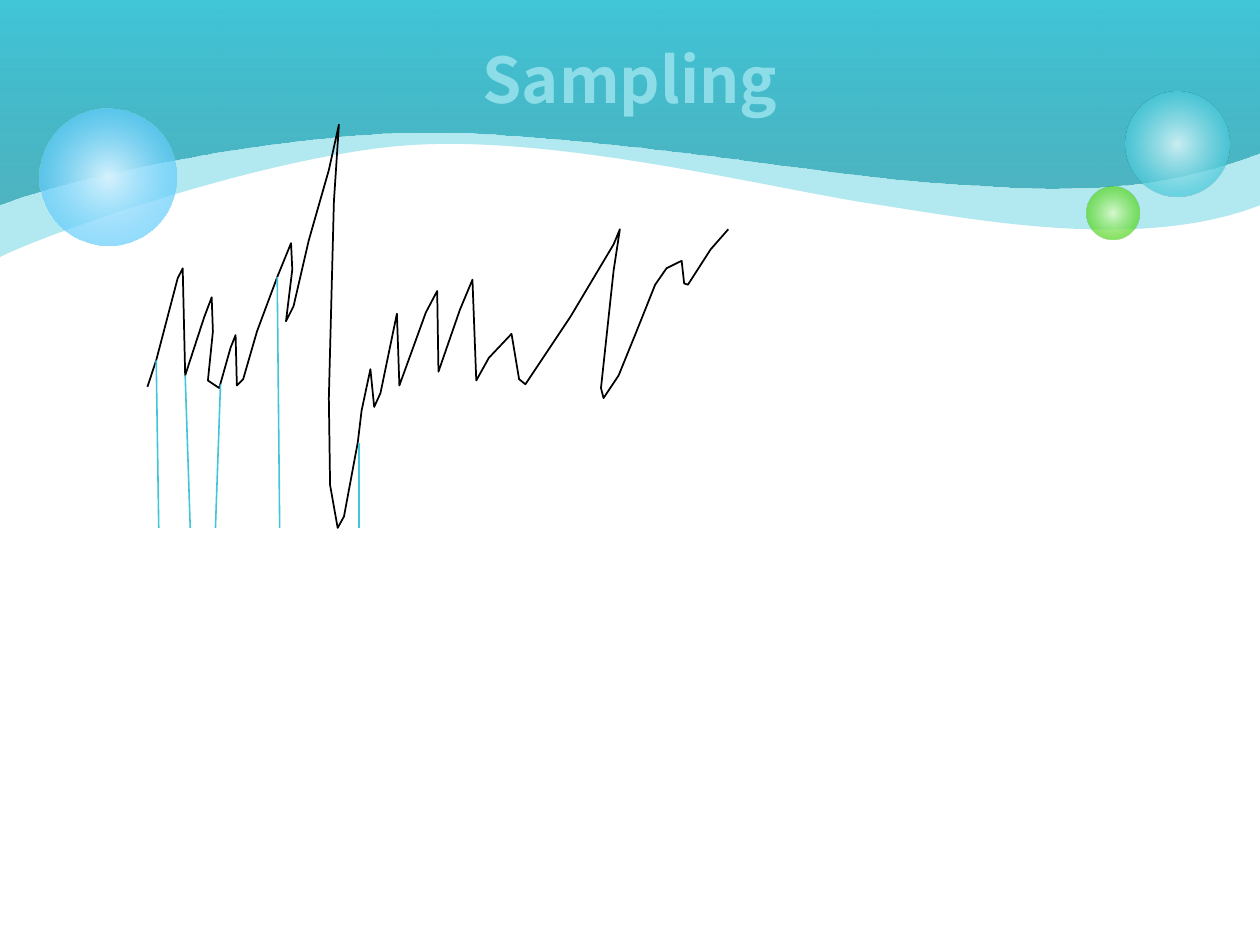
from dataclasses import dataclass

import lxml.etree
import pptx
import pptx.dml.color
import pptx.enum.shapes
import pptx.enum.text
import pptx.oxml.ns
import pptx.shapes.autoshape
import pptx.slide
import pptx.util

RGBColor = pptx.dml.color.RGBColor
Inches = pptx.util.Inches
Point = tuple[float, float]

BLACK = RGBColor(0x00, 0x00, 0x00)
TEAL = RGBColor(0x40, 0xC6, 0xD8)
DARK_TEAL = RGBColor(0x24, 0x9E, 0xAE)
PALE_TEAL = RGBColor(0xD9, 0xF4, 0xF7)
TITLE_TEAL = RGBColor(0x8C, 0xDD, 0xE8)
GREEN = RGBColor(0x4C, 0xD4, 0x16)
PALE_GREEN = RGBColor(0xDA, 0xFA, 0xCD)
BLUE = RGBColor(0x33, 0xBD, 0xFB)
PALE_BLUE = RGBColor(0xD6, 0xF2, 0xFE)
FONT = "Noto Sans CJK KR"
CURVE_STEPS = 24
BASELINE = 4.19


@dataclass(frozen=True)
class Stop:
    position: int
    color: RGBColor
    opacity: int = 100


@dataclass(frozen=True)
class Wave:
    start: Point
    curves: list[tuple[Point, Point, Point]]
    stops: list[Stop]


@dataclass(frozen=True)
class Bubble:
    left: float
    top: float
    diameter: float
    stops: list[Stop]


@dataclass(frozen=True)
class Sample:
    signal: Point
    base_x: float


WAVES = [
    Wave((0, 2.04), [
        ((0.33, 1.87), (2.14, 1.22), (3.28, 1.15)),
        ((4.43, 1.08), (6.06, 1.48), (6.87, 1.61)),
        ((7.68, 1.73), (9.02, 2.01), (10, 1.63)),
    ], [Stop(0, TEAL, 40), Stop(100, TEAL, 40)]),
    Wave((0, 1.62), [
        ((0.45, 1.44), (2.03, 1.08), (3.26, 1.05)),
        ((4.49, 1.02), (6.58, 1.39), (7.37, 1.44)),
        ((8.16, 1.49), (9.02, 1.59), (10, 1.21)),
    ], [Stop(0, DARK_TEAL, 69), Stop(100, TEAL)]),
]
BUBBLES = [
    Bubble(8.93, 0.73, 0.83, [Stop(0, PALE_TEAL, 90), Stop(76, TEAL, 70)]),
    Bubble(8.62, 1.48, 0.42, [Stop(0, PALE_GREEN, 90), Stop(76, GREEN, 70)]),
    Bubble(0.31, 0.86, 1.09, [Stop(0, PALE_BLUE), Stop(100, BLUE, 54)]),
]
SAMPLES = [
    Sample((1.24, 2.86), 1.26),
    Sample((1.47, 2.98), 1.51),
    Sample((1.75, 3.05), 1.71),
    Sample((2.2, 2.2), 2.22),
    Sample((2.85, 3.52), 2.85),
]
SIGNAL = [
    (1.17, 3.07), (1.24, 2.86), (1.41, 2.21), (1.45, 2.13), (1.47, 2.98),
    (1.62, 2.52), (1.68, 2.36), (1.69, 2.63), (1.65, 3.02), (1.74, 3.08),
    (1.83, 2.76), (1.87, 2.66), (1.88, 3.06), (1.93, 3.01), (2.04, 2.63),
    (2.2, 2.2), (2.31, 1.93), (2.32, 2.14), (2.27, 2.55), (2.33, 2.43),
    (2.45, 1.91), (2.61, 1.35), (2.69, 0.99), (2.65, 1.6), (2.61, 3.16),
    (2.62, 3.85), (2.68, 4.19), (2.73, 4.1), (2.84, 3.51), (2.87, 3.26),
    (2.94, 2.93), (2.97, 3.23), (3.02, 3.12), (3.15, 2.49), (3.17, 3.06),
    (3.38, 2.48), (3.47, 2.31), (3.48, 2.95), (3.65, 2.46), (3.75, 2.22),
    (3.78, 3.02), (3.88, 2.84), (4.06, 2.65), (4.12, 3.01), (4.17, 3.05),
    (4.53, 2.51), (4.87, 1.94), (4.92, 1.82), (4.87, 2.15), (4.77, 3.08),
    (4.79, 3.16), (4.91, 2.98), (5.04, 2.66), (5.2, 2.26), (5.29, 2.13),
    (5.41, 2.07), (5.43, 2.25), (5.46, 2.26), (5.64, 1.98), (5.78, 1.82),
]


def curve_points(start: Point, curve: tuple[Point, Point, Point]) -> list[Point]:
    first, second, end = curve
    points = []
    for step in range(1, CURVE_STEPS + 1):
        t = step / CURVE_STEPS
        weights = ((1 - t) ** 3, 3 * t * (1 - t) ** 2, 3 * t**2 * (1 - t), t**3)
        controls = (start, first, second, end)
        x, y = (sum(w * c[axis] for w, c in zip(weights, controls)) for axis in (0, 1))
        points.append((x, y))
    return points


def set_gradient(shape: pptx.shapes.autoshape.Shape, stops: list[Stop], radial: bool) -> None:
    qn = pptx.oxml.ns.qn
    gradient = lxml.etree.Element(qn("a:gradFill"), rotWithShape="1")
    stop_list = lxml.etree.SubElement(gradient, qn("a:gsLst"))
    for stop in stops:
        node = lxml.etree.SubElement(stop_list, qn("a:gs"), pos=str(stop.position * 1000))
        color = lxml.etree.SubElement(node, qn("a:srgbClr"), val=str(stop.color))
        lxml.etree.SubElement(color, qn("a:alpha"), val=str(stop.opacity * 1000))
    if radial:
        center = lxml.etree.SubElement(gradient, qn("a:path"), path="circle")
        sides = dict.fromkeys("ltrb", "50000")
        lxml.etree.SubElement(center, qn("a:fillToRect"), **sides)
    else:
        lxml.etree.SubElement(gradient, qn("a:lin"), ang=str(270 * 60000), scaled="0")
    shape.fill.background()
    empty_fill = shape.element.spPr.find(qn("a:noFill"))
    empty_fill.getparent().replace(empty_fill, gradient)
    shape.line.fill.background()
    shape.shadow.inherit = False


def add_outline(
    slide: pptx.slide.Slide, points: list[Point], close: bool
) -> pptx.shapes.autoshape.Shape:
    lengths = [(Inches(x), Inches(y)) for x, y in points]
    builder = slide.shapes.build_freeform(*lengths[0])
    builder.add_line_segments(lengths[1:], close=close)
    shape = builder.convert_to_shape()
    shape.shadow.inherit = False
    return shape


def add_wave(slide: pptx.slide.Slide, wave: Wave) -> None:
    points = [(0, 0), wave.start]
    for curve in wave.curves:
        points += curve_points(points[-1], curve)
    points.append((10.01, 0))
    set_gradient(add_outline(slide, points, close=True), wave.stops, radial=False)


def add_bubble(slide: pptx.slide.Slide, bubble: Bubble) -> None:
    diameter = Inches(bubble.diameter)
    shape = slide.shapes.add_shape(
        pptx.enum.shapes.MSO_SHAPE.OVAL,
        Inches(bubble.left), Inches(bubble.top), diameter, diameter,
    )
    set_gradient(shape, bubble.stops, radial=True)


def add_sample(slide: pptx.slide.Slide, sample: Sample) -> None:
    x, y = sample.signal
    connector = slide.shapes.add_connector(
        pptx.enum.shapes.MSO_CONNECTOR.STRAIGHT,
        Inches(x), Inches(y), Inches(sample.base_x), Inches(BASELINE),
    )
    connector.line.color.rgb = TEAL
    connector.line.width = pptx.util.Pt(0.9)
    lxml.etree.SubElement(connector.element.spPr, pptx.oxml.ns.qn("a:effectLst"))


def write_text(
    shape: pptx.shapes.autoshape.Shape, text: str, *, size: float, color: RGBColor, bold: bool
) -> None:
    frame = shape.text_frame
    frame.word_wrap = True
    frame.vertical_anchor = pptx.enum.text.MSO_ANCHOR.MIDDLE
    paragraph = frame.paragraphs[0]
    paragraph.alignment = pptx.enum.text.PP_ALIGN.CENTER
    run = paragraph.add_run()
    run.text = text
    run.font.name = FONT
    run.font.size = pptx.util.Pt(size)
    run.font.bold = bold
    run.font.color.rgb = color


def main() -> None:
    presentation = pptx.Presentation()
    presentation.slide_width, presentation.slide_height = Inches(10), Inches(7.5)
    slide = presentation.slides.add_slide(presentation.slide_layouts[5])
    for wave in WAVES:
        add_wave(slide, wave)
    for bubble in BUBBLES:
        add_bubble(slide, bubble)

    title = slide.shapes.title
    title.left, title.top = Inches(0.5), Inches(0)
    title.width, title.height = Inches(9), Inches(1.25)
    write_text(title, "Sampling", size=36, color=TITLE_TEAL, bold=True)
    title.element.getparent().append(title.element)

    signal = add_outline(slide, SIGNAL, close=False)
    signal.fill.background()
    signal.line.color.rgb = BLACK
    signal.line.width = pptx.util.Pt(1)
    for sample in SAMPLES:
        add_sample(slide, sample)
    presentation.save("out.pptx")


if __name__ == "__main__":
    main()
